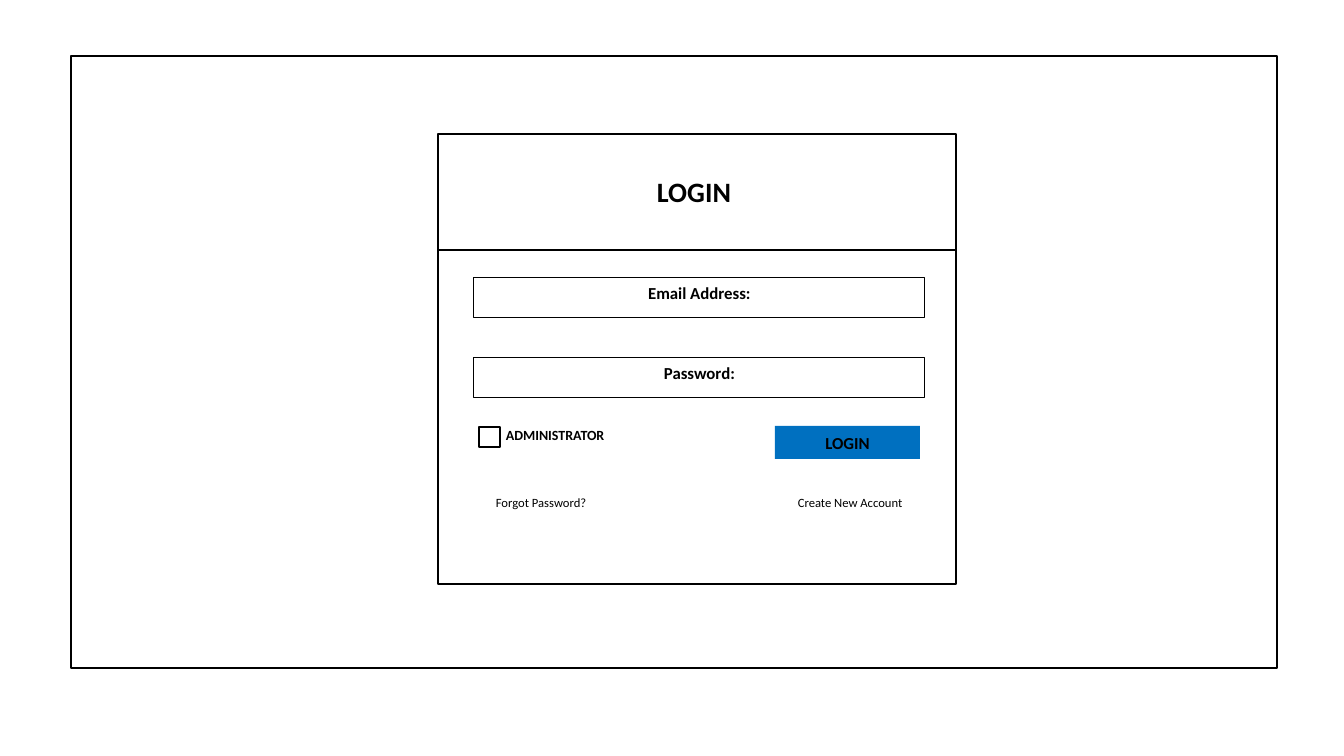
from lxml.etree import SubElement
from pptx import Presentation
from pptx.dml.color import RGBColor
from pptx.enum.shapes import MSO_CONNECTOR as Link, MSO_SHAPE as Kind
from pptx.enum.text import MSO_ANCHOR as Anchor, PP_ALIGN as Align
from pptx.oxml.ns import qn
from pptx.util import Pt

SCALE = 914400 / 100.8
BLACK = RGBColor(0x00, 0x00, 0x00)
BLUE = RGBColor(0x00, 0x70, 0xC0)


def px(n):
    return round(n * SCALE)


def write(shape, text, size=12, bold=True, align=Align.LEFT, anchor=Anchor.TOP):
    frame = shape.text_frame
    frame.word_wrap = True
    frame.vertical_anchor = anchor
    para = frame.paragraphs[0]
    para.alignment = align
    run = para.add_run()
    run.text = text
    font = run.font
    font.name = "Calibri"
    font.size = Pt(size)
    font.bold = bold
    font.color.rgb = BLACK
    return para


def box(shapes, x, y, w, h, fill=None, line=1):
    shape = shapes.add_shape(Kind.RECTANGLE, px(x), px(y), px(w), px(h))
    shape.shadow.inherit = False
    if fill is None:
        shape.fill.background()
    else:
        shape.fill.solid()
        shape.fill.fore_color.rgb = fill
    if line:
        shape.line.color.rgb = BLACK
        shape.line.width = Pt(line)
    else:
        shape.line.fill.background()
    return shape


def label(shapes, text, x, y, w, h, **form):
    return write(shapes.add_textbox(px(x), px(y), px(w), px(h)), text, **form)


def rule(shapes, x, y, end):
    line = shapes.add_connector(Link.STRAIGHT, px(x), px(y), px(end), px(y))
    line.line.color.rgb = BLACK
    line.line.width = Pt(1)
    SubElement(line._element.spPr, qn("a:effectLst"))


def set_tab(para, pos):
    tabs = SubElement(para._p.get_or_add_pPr(), qn("a:tabLst"))
    SubElement(tabs, qn("a:tab"), pos=str(px(pos)), algn="l")


def main():
    deck = Presentation()
    deck.slide_width, deck.slide_height = px(1344), px(756)
    slide = deck.slides.add_slide(deck.slide_layouts[6])

    box(slide.shapes, 71, 56, 1206, 612)
    panel = slide.shapes.add_group_shape().shapes
    box(panel, 438, 134, 518, 450)
    for row, name in enumerate(("Email Address:", "Password:")):
        field = box(panel, 474, 278 + 80 * row, 451, 40, line=0.75)
        write(field, name, align=Align.CENTER)
    rule(panel, 439, 250, 956)
    box(panel, 479, 427, 21, 20)
    label(panel, "ADMINISTRATOR", 496, 422, 448, 27, size=10)
    button = box(panel, 775, 426, 145, 33, fill=BLUE, line=0)
    write(button, "LOGIN", align=Align.CENTER, anchor=Anchor.MIDDLE)
    label(panel, "LOGIN", 647, 170, 448, 44, size=20)
    links = label(panel, "Forgot Password?\tCreate New Account", 486, 487, 439, 31,
                  size=9, bold=False, anchor=Anchor.MIDDLE)
    set_tab(links, 302)

    deck.save("out.pptx")


if __name__ == "__main__":
    main()
